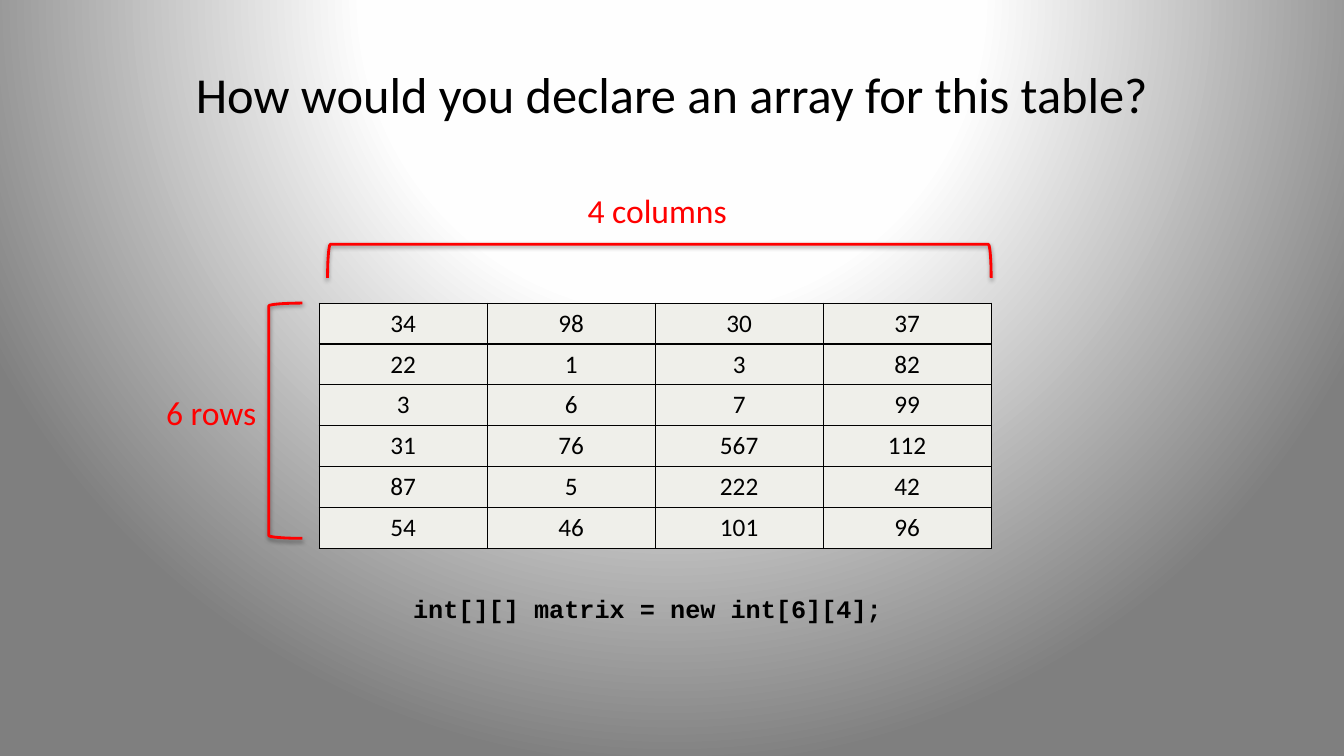
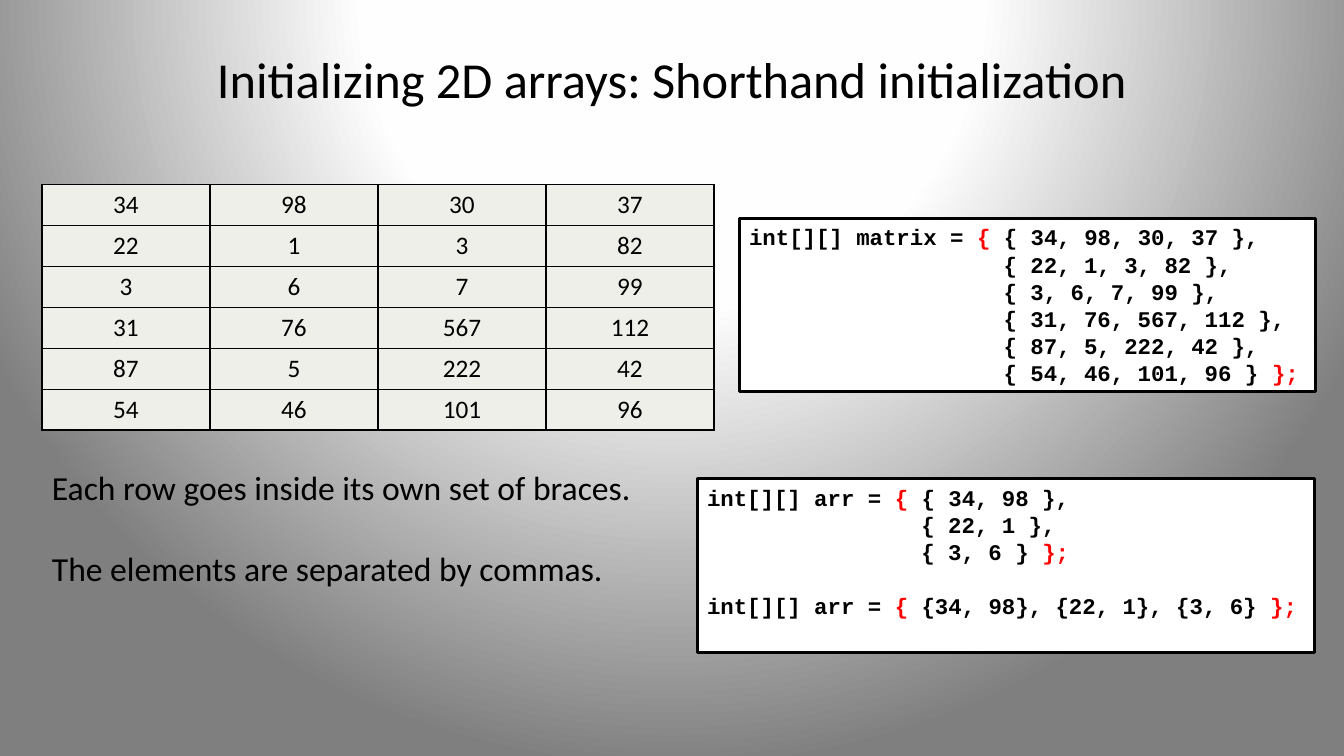
"""Build two slides on declaring and initializing two-dimensional arrays."""
from lxml import etree
from pptx import Presentation
from pptx import util as u
from pptx.dml.color import RGBColor
from pptx.enum import shapes, text
from pptx.oxml import parse_xml
from pptx.oxml.ns import nsdecls, qn

COLORS = {"ink": "000000", "accent": "FF0000", "cell": "EFEFEA", "paper": "FFFFFF"}
BACKDROP = [(0, "FFFFFF"), (40, "FEFEFE"), (100, "7F7F7F")]
BODY_FONT, CODE_FONT = "Calibri", "Courier New"
MATRIX = [
    (34, 98, 30, 37), (22, 1, 3, 82), (3, 6, 7, 99),
    (31, 76, 567, 112), (87, 5, 222, 42), (54, 46, 101, 96),
]
TABLE_SIZE = (480, 175)


def color(name):
    """Return the palette colour of the given name."""
    return RGBColor.from_string(COLORS[name])


def place(box):
    """Turn a box in points into lengths."""
    return [u.Pt(value) for value in box]


def add_run(para, wording, size, ink="ink", face=BODY_FONT, bold=False):
    """Append one formatted run to a paragraph."""
    span = para.add_run()
    span.text = wording
    font = span.font
    font.size, font.name, font.bold = u.Pt(size), face, bold
    font.color.rgb = color(ink)


def paint_backdrop(master):
    """Give the slide master its radial gradient."""
    stops = "".join(
        f'<a:gs pos="{spot * 1000}"><a:srgbClr val="{shade}"/></a:gs>'
        for spot, shade in BACKDROP
    )
    content = master.element.find(qn("p:cSld"))
    for old in content.findall(qn("p:bg")):
        content.remove(old)
    content.insert(0, parse_xml(
        f'<p:bg {nsdecls("p", "a")}><p:bgPr><a:gradFill rotWithShape="1">'
        f'<a:gsLst>{stops}</a:gsLst><a:path path="circle">'
        '<a:fillToRect l="50000" t="-80000" r="50000" b="180000"/></a:path>'
        '</a:gradFill><a:effectLst/></p:bgPr></p:bg>'
    ))


def add_page(deck, title, height):
    """Add a slide with its centred title."""
    page = deck.slides.add_slide(deck.slide_layouts[5])
    holder = page.shapes.title
    holder.left, holder.top, holder.width, holder.height = place((48, 21.6, 864, height))
    holder.text_frame.vertical_anchor = text.MSO_ANCHOR.MIDDLE
    para = holder.text_frame.paragraphs[0]
    para.alignment = text.PP_ALIGN.CENTER
    add_run(para, title, 36)
    return page


def add_matrix(page, left, top):
    """Draw the matrix as a ruled table."""
    table = page.shapes.add_table(
        len(MATRIX), len(MATRIX[0]), *place((left, top, *TABLE_SIZE))).table
    table.first_row = table.horz_banding = False
    for r, numbers in enumerate(MATRIX):
        for c, number in enumerate(numbers):
            cell = table.cell(r, c)
            para = cell.text_frame.paragraphs[0]
            para.alignment = text.PP_ALIGN.CENTER
            add_run(para, str(number), 18)
            props = cell._tc.get_or_add_tcPr()
            for side in ("lnL", "lnR", "lnT", "lnB"):
                rule = etree.SubElement(props, qn(f"a:{side}"), w=str(u.Pt(1)))
                fill = etree.SubElement(rule, qn("a:solidFill"))
                etree.SubElement(fill, qn("a:srgbClr"), val=COLORS["ink"])
            cell.fill.solid()
            cell.fill.fore_color.rgb = color("cell")


def add_note(page, box, lines, ink="ink"):
    """Write paragraphs of plain text one line apart."""
    frame = page.shapes.add_textbox(*place(box)).text_frame
    frame.word_wrap = True
    for i, line in enumerate(lines):
        para = frame.add_paragraph() if i else frame.paragraphs[0]
        if i:
            para.space_before = u.Pt(29)
        add_run(para, line, 24, ink)


def add_code(page, box, lines, size=16, framed=True):
    """Write code lines of (wording, colour) runs; an empty line leaves a gap."""
    panel = page.shapes.add_shape(shapes.MSO_SHAPE.RECTANGLE, *place(box))
    panel.shadow.inherit = False
    if framed:
        panel.fill.solid()
        panel.fill.fore_color.rgb = color("paper")
        panel.line.color.rgb = color("ink")
        panel.line.width = u.Pt(2)
    else:
        panel.fill.background()
        panel.line.fill.background()
    frame = panel.text_frame
    frame.word_wrap = True
    frame.vertical_anchor = text.MSO_ANCHOR.TOP
    pitch = u.Pt(round(size * 1.21, 1))
    para, gap = None, 0
    for line in lines:
        if not line:
            gap = pitch
            continue
        para = frame.add_paragraph() if para else frame.paragraphs[0]
        para.alignment = text.PP_ALIGN.LEFT
        para.line_spacing = pitch
        if gap:
            para.space_before = gap
        for wording, ink in line:
            add_run(para, wording, size, ink, CODE_FONT, True)
        gap = 0


def add_bracket(page, box, preset, rotation=0):
    """Draw a red bracket that fills the box after any quarter turn."""
    left, top, width, height = box
    if rotation:
        shift = (width - height) / 2
        box = (left + shift, top - shift, height, width)
    bracket = page.shapes.add_shape(preset, *place(box))
    bracket.rotation = rotation
    bracket.fill.background()
    bracket.line.color.rgb = color("accent")
    bracket.line.width = u.Pt(2)
    bracket.shadow.inherit = False
    effects = bracket._element.spPr.find(qn("a:effectLst"))
    effects.append(parse_xml(
        f'<a:outerShdw {nsdecls("a")} blurRad="{u.Pt(3.1)}" dist="{u.Pt(1.6)}" '
        f'dir="5400000" rotWithShape="0"><a:srgbClr val="{COLORS["ink"]}">'
        '<a:alpha val="38000"/></a:srgbClr></a:outerShdw>'
    ))


def build_declaration(deck):
    """Build the slide that asks for the array declaration."""
    page = add_page(deck, "How would you declare an array for this table?", 90)
    left, top = 228, 216.5
    add_matrix(page, left, top)
    add_code(page, (288, 420, 354, 29),
             [[("int[][] matrix = new int[6][4];", "ink")]], 18, False)
    add_note(page, (111.6, 276.5, 81, 36), ["6 rows"], "accent")
    add_bracket(page, (left - 36, top, 24, 168), shapes.MSO_SHAPE.LEFT_BRACKET)
    add_bracket(page, (left + 6, top - 42, 474, 24), shapes.MSO_SHAPE.RIGHT_BRACKET, 270)
    add_note(page, (412.6, 131.8, 116, 36), ["4 columns"], "accent")


def initializer(name, rows):
    """Lay out a shorthand initializer with one array row per line."""
    start = f"int[][] {name} = "
    lines = []
    for i, numbers in enumerate(rows):
        row = "{ " + ", ".join(map(str, numbers)) + " }"
        if i == 0:
            line = [(start, "ink"), ("{ ", "accent")]
        else:
            line = []
            row = " " * (len(start) + 2) + row
        if i == len(rows) - 1:
            line += [(row + " ", "ink"), ("};", "accent")]
        else:
            line.append((row + ",", "ink"))
        lines.append(line)
    return lines


def build_initialization(deck):
    """Build the slide on shorthand initialization."""
    page = add_page(deck, "Initializing 2D arrays: Shorthand initialization", 68.4)
    add_matrix(page, 30, 132)
    add_code(page, (528, 156, 412, 124), initializer("matrix", MATRIX))
    add_note(page, (30, 330, 433, 94), [
        "Each row goes inside its own set of braces.",
        "The elements are separated by commas.",
    ])
    one_line = [("int[][] arr = ", "ink"), ("{ ", "accent"),
                ("{34, 98}, {22, 1}, {3, 6} ", "ink"), ("};", "accent")]
    short_rows = [numbers[:2] for numbers in MATRIX[:3]]
    add_code(page, (498, 342, 441, 124), initializer("arr", short_rows) + [[], one_line])


def main():
    """Build and save the deck."""
    deck = Presentation()
    deck.slide_width, deck.slide_height = u.Pt(960), u.Pt(540)
    paint_backdrop(deck.slide_master)
    build_declaration(deck)
    build_initialization(deck)
    deck.save("out.pptx")


if __name__ == "__main__":
    main()
